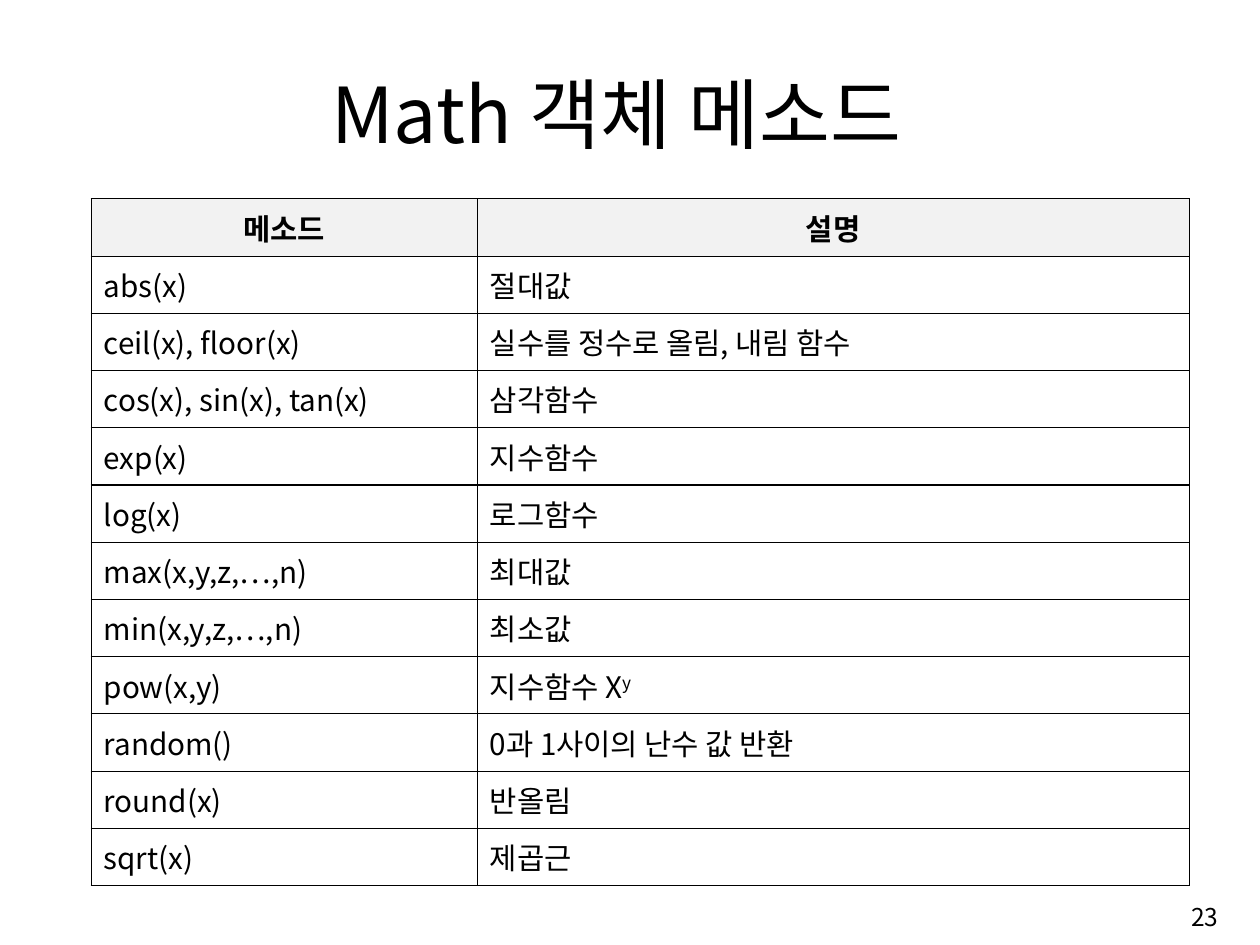
"""Build a slide that lists the methods of the Math object in a table."""
from dataclasses import dataclass

from lxml import etree
from pptx import Presentation
from pptx import util as u
from pptx.dml import color
from pptx.enum import text
from pptx.oxml import ns

FONT = "Noto Sans CJK KR"
BLACK, WHITE, HEADER_GREY = "000000", "FFFFFF", "F2F2F2"
ROW_HEIGHT = 0.59
COLUMN_WIDTHS = (3.98, 7.34)


@dataclass
class Method:
    name: str
    description: str
    exponent: str = ""


METHODS = [
    Method("abs(x)", "절대값"),
    Method("ceil(x), floor(x)", "실수를 정수로 올림, 내림 함수"),
    Method("cos(x), sin(x), tan(x)", "삼각함수"),
    Method("exp(x)", "지수함수"),
    Method("log(x)", "로그함수"),
    Method("max(x,y,z,…,n)", "최대값"),
    Method("min(x,y,z,…,n)", "최소값"),
    Method("pow(x,y)", "지수함수 X", "y"),
    Method("random()", "0과 1사이의 난수 값 반환"),
    Method("round(x)", "반올림"),
    Method("sqrt(x)", "제곱근"),
]


def paint(fill, hex_color: str) -> None:
    fill.solid()
    fill.fore_color.rgb = color.RGBColor.from_string(hex_color)


def add_span(para, words: str, size: float, bold: bool = False, raised: bool = False) -> None:
    span = para.add_run()
    span.text = words
    span.font.size = u.Pt(size)
    span.font.bold = bold
    span.font.name = FONT
    paint(span.font.fill, BLACK)
    properties = span._r.get_or_add_rPr()
    etree.SubElement(properties, ns.qn("a:ea"), typeface=FONT)
    if raised:
        properties.set("baseline", "30000")


def add_borders(cell) -> None:
    properties = cell._tc.get_or_add_tcPr()
    for side in ("lnL", "lnR", "lnT", "lnB"):
        line = etree.SubElement(properties, ns.qn(f"a:{side}"), w=str(u.Pt(1)))
        fill = etree.SubElement(line, ns.qn("a:solidFill"))
        etree.SubElement(fill, ns.qn("a:srgbClr"), val=BLACK)


def fill_cell(cell, words: str, exponent: str = "", header: bool = False) -> None:
    add_borders(cell)
    paint(cell.fill, HEADER_GREY if header else WHITE)
    cell.vertical_anchor = text.MSO_ANCHOR.MIDDLE
    cell.margin_left = cell.margin_right = u.Inches(0.13)
    cell.margin_top = cell.margin_bottom = u.Inches(0.06)
    para = cell.text_frame.paragraphs[0]
    para.alignment = text.PP_ALIGN.CENTER if header else text.PP_ALIGN.LEFT
    add_span(para, words, 22, bold=header)
    if exponent:
        add_span(para, exponent, 22, raised=True)


def add_title(page) -> None:
    title = page.shapes.title
    title.left, title.top = u.Inches(1.05), u.Inches(0.61)
    title.width, title.height = u.Inches(10.61), u.Inches(1.08)
    frame = title.text_frame
    frame.auto_size = text.MSO_AUTO_SIZE.NONE
    frame.vertical_anchor = text.MSO_ANCHOR.BOTTOM
    para = frame.paragraphs[0]
    para.alignment = text.PP_ALIGN.CENTER
    add_span(para, "Math 객체 메소드", 57.2)


def add_method_table(page) -> None:
    row_count = len(METHODS) + 1
    table = page.shapes.add_table(
        row_count, len(COLUMN_WIDTHS), u.Inches(0.94), u.Inches(2.05),
        u.Inches(sum(COLUMN_WIDTHS)), u.Inches(ROW_HEIGHT * row_count)).table
    for column, width in zip(table.columns, COLUMN_WIDTHS):
        column.width = u.Inches(width)
    for row in table.rows:
        row.height = u.Inches(ROW_HEIGHT)
    for index, heading in enumerate(("메소드", "설명")):
        fill_cell(table.cell(0, index), heading, header=True)
    for index, method in enumerate(METHODS, start=1):
        fill_cell(table.cell(index, 0), method.name)
        fill_cell(table.cell(index, 1), method.description, method.exponent)


def add_page_number(page) -> None:
    box = page.shapes.add_textbox(u.Inches(9.95), u.Inches(9.15), u.Inches(2.71), u.Inches(0.6))
    frame = box.text_frame
    frame.word_wrap = True
    frame.vertical_anchor = text.MSO_ANCHOR.MIDDLE
    para = frame.paragraphs[0]
    para.alignment = text.PP_ALIGN.RIGHT
    add_span(para, "23", 18.2)


def main() -> None:
    deck = Presentation()
    deck.slide_width, deck.slide_height = u.Inches(12.99), u.Inches(9.74)
    page = deck.slides.add_slide(deck.slide_layouts[5])
    paint(page.background.fill, WHITE)
    add_title(page)
    add_page_number(page)
    add_method_table(page)
    deck.save("out.pptx")


if __name__ == "__main__":
    main()
